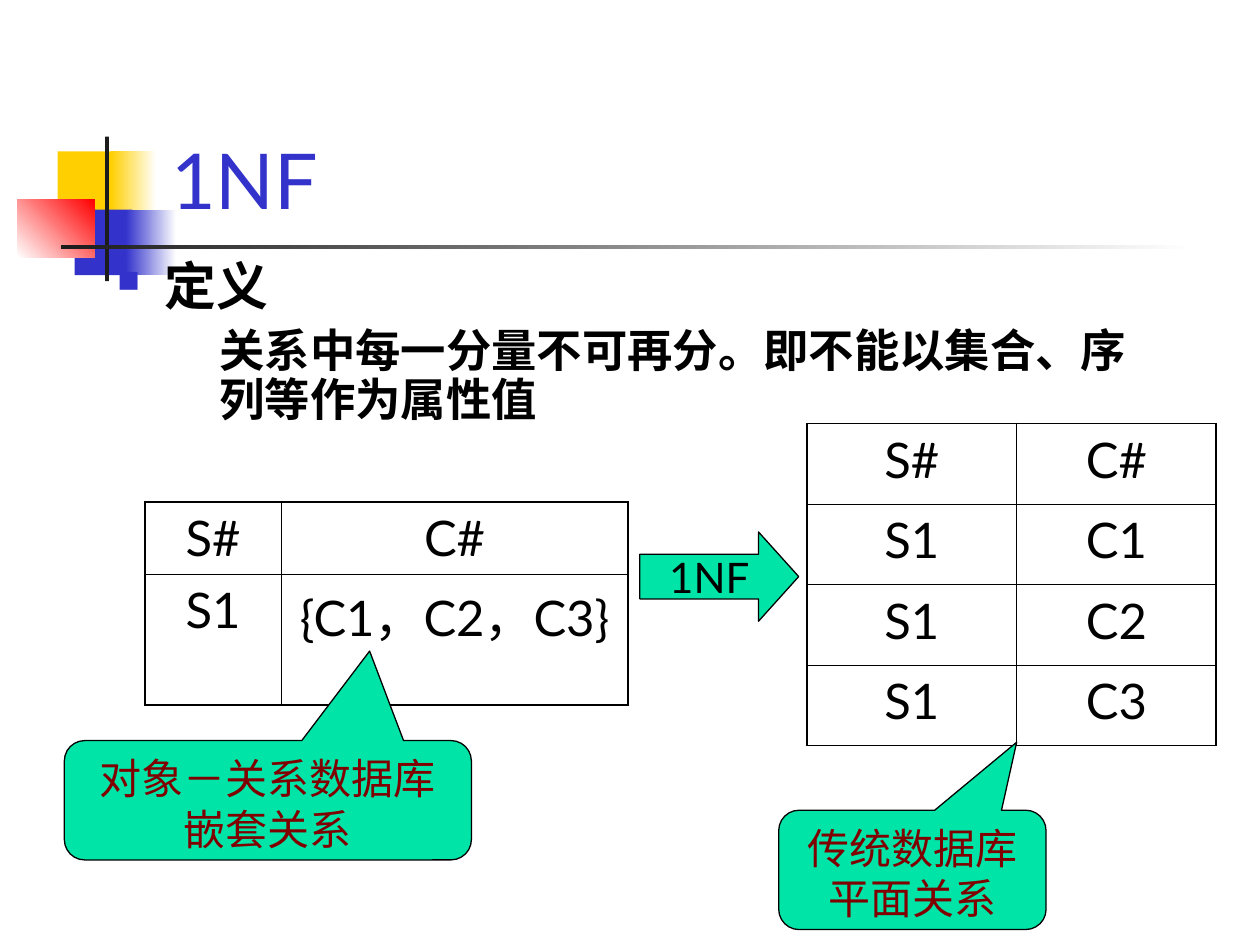
from lxml.etree import SubElement
from pptx import Presentation
from pptx.dml.color import RGBColor
from pptx.enum.shapes import MSO_SHAPE as Shape
from pptx.enum.text import MSO_ANCHOR as Anchor, PP_ALIGN as Align
from pptx.oxml.ns import qn
from pptx.util import Pt

rgb = RGBColor.from_string
LATIN, CHINESE = "Lato", "Noto Sans CJK SC"
BLACK, BLUE, YELLOW, WHITE = "000000", "3333CC", "FFCF01", "FFFFFF"
DARK, GREEN, MAROON = "1C1C1C", "00E4A8", "800000"


def write(frame, text, size, color, align=Align.CENTER, font=LATIN, bold=False):
    frame.text = text
    for para in frame.paragraphs:
        para.alignment = align
        for span in para.runs:
            span.font.size = Pt(size)
            span.font.name = font
            span.font.bold = bold
            span.font.color.rgb = rgb(color)
            SubElement(span.font._element, qn("a:ea"), typeface=CHINESE)


def add_shape(kind, bounds, colors, angle=0):
    shape = page.shapes.add_shape(kind, *map(Pt, bounds))
    shape.shadow.inherit = False
    shape.line.fill.background()
    if len(colors) == 1:
        shape.fill.solid()
        shape.fill.fore_color.rgb = rgb(colors[0])
    else:
        shape.fill.gradient()
        shape.fill.gradient_angle = angle
        for stop, color in zip(shape.fill.gradient_stops, colors):
            stop.color.rgb = rgb(color)
    return shape


deck = Presentation()
deck.slide_width, deck.slide_height = Pt(720), Pt(540)
page = deck.slides.add_slide(deck.slide_layouts[6])

for bounds, colors, angle in [
    ((33, 86.5, 34.5, 37.5), [YELLOW], 0),
    ((63.3, 86.5, 26, 37.5), [YELLOW, WHITE], 0),
    ((42.7, 119.8, 33, 37.5), [BLUE], 0),
    ((72, 119.8, 28.6, 37.5), [BLUE, WHITE], 0),
    ((10, 113.8, 44, 33.3), [WHITE, "FF0000"], 45),
    ((60, 78, 2.3, 82.7), [DARK], 0),
    ((34.8, 140.1, 648, 2.5), [DARK, WHITE], 0),
]:
    add_shape(Shape.RECTANGLE, bounds, colors, angle)

title = page.shapes.add_textbox(Pt(90.7), Pt(16.6), Pt(613.4), Pt(115.2)).text_frame
title.word_wrap = True
title.vertical_anchor = Anchor.BOTTOM
write(title, "1NF", 44, BLUE, Align.LEFT)

body = page.shapes.add_textbox(Pt(59.8), Pt(145.4), Pt(612), Pt(117.4)).text_frame
body.word_wrap = True
write(body, "定义\n\t关系中每一分量不可再分。即不能以集合、序列等作为属性值",
      25.9, BLACK, Align.LEFT, CHINESE, True)
heading, detail = body.paragraphs
heading.runs[0].font.size = Pt(29.6)
detail.space_before = Pt(7)
detail.level = 1
for para, margin, indent in [(heading, 27, -27), (detail, 58.5, -22.5)]:
    para.line_spacing = 0.9
    props = para._p.get_or_add_pPr()
    props.set("marL", str(Pt(margin)))
    props.set("indent", str(Pt(indent)))
props = heading._p.get_or_add_pPr()
SubElement(SubElement(props, qn("a:buClr")), qn("a:srgbClr"), val=BLUE)
SubElement(props, qn("a:buSzPct"), val="60000")
SubElement(props, qn("a:buChar"), char="■")

nested = [["S#", "C#"], ["S1", "{C1，C2，C3}"]]
flat = [["S#", "C#"], ["S1", "C1"], ["S1", "C2"], ["S1", "C3"]]
for rows, left, top, widths, heights in [
    (nested, 82.8, 287, (78, 198), (41, 75)),
    (flat, 461, 242, (120, 114), (46,) * 4),
]:
    table = page.shapes.add_table(len(rows), 2, Pt(left), Pt(top),
                                  Pt(sum(widths)), Pt(sum(heights))).table
    table.first_row = table.horz_banding = False
    for column, width in zip(table.columns, widths):
        column.width = Pt(width)
    for r, (row, height) in enumerate(zip(rows, heights)):
        table.rows[r].height = Pt(height)
        for c, text in enumerate(row):
            cell = table.cell(r, c)
            write(cell.text_frame, text, 28, BLACK)
            props = cell._tc.get_or_add_tcPr()
            for side, outer in [("L", c == 0), ("R", c == 1),
                                ("T", r == 0), ("B", r == len(rows) - 1)]:
                edge = SubElement(props, qn(f"a:ln{side}"),
                                  w=str(Pt(1.08 if outer else 0.45)))
                fill = SubElement(edge, qn("a:solidFill"))
                SubElement(fill, qn("a:srgbClr"), val=BLACK)
            cell.fill.background()

for kind, bounds, adjustments, text, color, anchor, wrap in [
    (Shape.ROUNDED_RECTANGULAR_CALLOUT, (36.8, 423.2, 232.6, 68.2),
     (0.25, -1.25, 0.17), "对象－关系数据库\n嵌套关系", MAROON, Anchor.TOP, True),
    (Shape.ROUNDED_RECTANGULAR_CALLOUT, (445, 463, 152.8, 68.2),
     (0.39, -1.07, 0.17), "传统数据库\n平面关系", MAROON, Anchor.TOP, True),
    (Shape.RIGHT_ARROW, (365.6, 304, 90.8, 51),
     (0.5, 0.45), "1NF", BLACK, Anchor.MIDDLE, False),
]:
    shape = add_shape(kind, bounds, [GREEN])
    shape.line.color.rgb = rgb(BLACK)
    shape.line.width = Pt(0.75)
    for index, value in enumerate(adjustments):
        shape.adjustments[index] = value
    shape.text_frame.vertical_anchor = anchor
    shape.text_frame.word_wrap = wrap
    write(shape.text_frame, text, 24, color)

deck.save("out.pptx")
